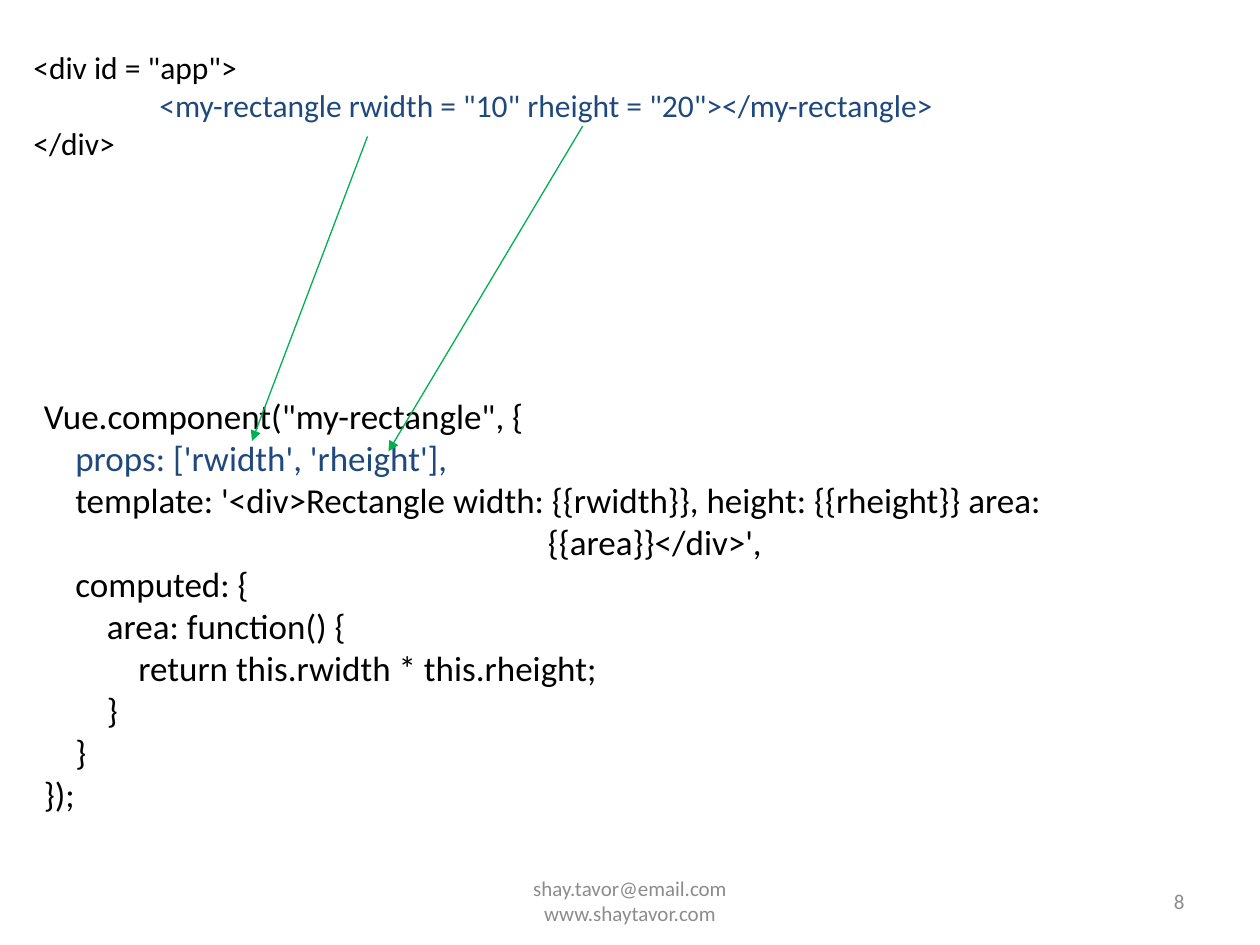
from lxml.etree import SubElement
from pptx import Presentation
from pptx.dml.color import RGBColor
from pptx.enum.shapes import MSO_CONNECTOR as Connector
from pptx.enum.text import MSO_ANCHOR as Anchor, PP_ALIGN as Align
from pptx.oxml.ns import qn
from pptx.util import Inches, Pt

UNIT = Inches(1) / 12  # one column or row of a 120 by 90 grid
BLACK, BLUE, GREEN, GREY = "000000", "1F497D", "00B050", "8C8C8C"

# Each line of code: indent in inches, text, colour
MARKUP = [
    (0, '<div id = "app">', BLACK),
    (1, '<my-rectangle rwidth = "10" rheight = "20"></my-rectangle>', BLUE),
    (0, '</div>', BLACK),
]
COMPONENT = [
    (0, 'Vue.component("my-rectangle", {', BLACK),
    (0.25, "props: ['rwidth', 'rheight'],", BLUE),
    (0.25, "template: '<div>Rectangle width: {{rwidth}}, height: {{rheight}} area:", BLACK),
    (4, "{{area}}</div>',", BLACK),
    (0.25, "computed: {", BLACK),
    (0.5, "area: function() {", BLACK),
    (0.75, "return this.rwidth * this.rheight;", BLACK),
    (0.5, "}", BLACK),
    (0.25, "}", BLACK),
    (0, "});", BLACK),
]
# Start and end of each arrow: column, row
PROP_ARROWS = [((35, 13), (24, 42)), ((55.5, 12), (37, 43))]


def grid(*cells):
    return [round(cell * UNIT) for cell in cells]


def rgb(hex_colour):
    return RGBColor.from_string(hex_colour)


def apply_format(target, values):
    for name, value in values.items():
        setattr(target, name, value)


def add_text(slide, box, lines, size, align=Align.LEFT, anchor=Anchor.TOP):
    frame = slide.shapes.add_textbox(*grid(*box)).text_frame
    apply_format(frame, {"word_wrap": True, "vertical_anchor": anchor})
    for number, (indent, text, colour) in enumerate(lines):
        paragraph = frame.add_paragraph() if number else frame.paragraphs[0]
        apply_format(paragraph, {"text": text, "alignment": align})
        if indent:
            paragraph._p.get_or_add_pPr().set("marL", str(Inches(indent)))
        for run in paragraph.runs:
            apply_format(run.font, {"name": "Calibri", "size": Pt(size)})
            run.font.color.rgb = rgb(colour)


def add_arrow(slide, start, end, colour):
    connector = slide.shapes.add_connector(Connector.STRAIGHT, *grid(*start, *end))
    connector.line.color.rgb = rgb(colour)
    connector.line.width = Pt(0.75)
    SubElement(connector.line._get_or_add_ln(), qn("a:tailEnd"), type="triangle")
    SubElement(connector._element.spPr, qn("a:effectLst"))


def main():
    presentation = Presentation()
    apply_format(presentation, {"slide_width": Inches(10), "slide_height": Inches(7.5)})
    slide = presentation.slides.add_slide(presentation.slide_layouts[6])

    contact = [(0, "shay.tavor@email.com\vwww.shaytavor.com", GREY)]
    add_text(slide, (41, 83.4, 38, 4.8), contact, 12, Align.CENTER, Anchor.MIDDLE)
    add_text(slide, (86, 83.4, 28, 4.8), [(0, "8", GREY)], 12, Align.RIGHT, Anchor.MIDDLE)
    add_text(slide, (3, 37, 107, 41.6), COMPONENT, 20)
    add_text(slide, (2, 4, 107, 12.1), MARKUP, 18)
    for start, end in PROP_ARROWS:
        add_arrow(slide, start, end, GREEN)

    presentation.save("out.pptx")


if __name__ == "__main__":
    main()
